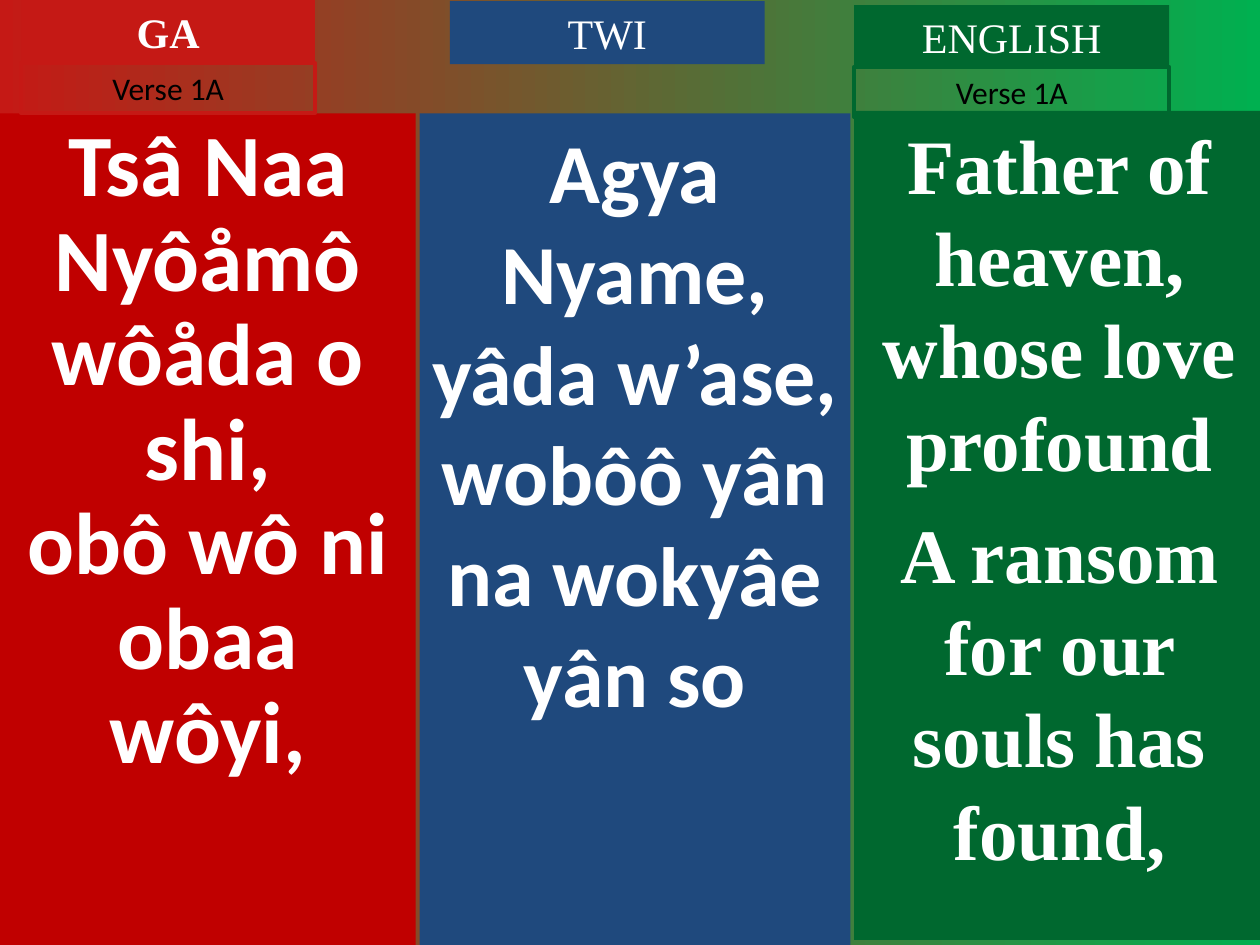
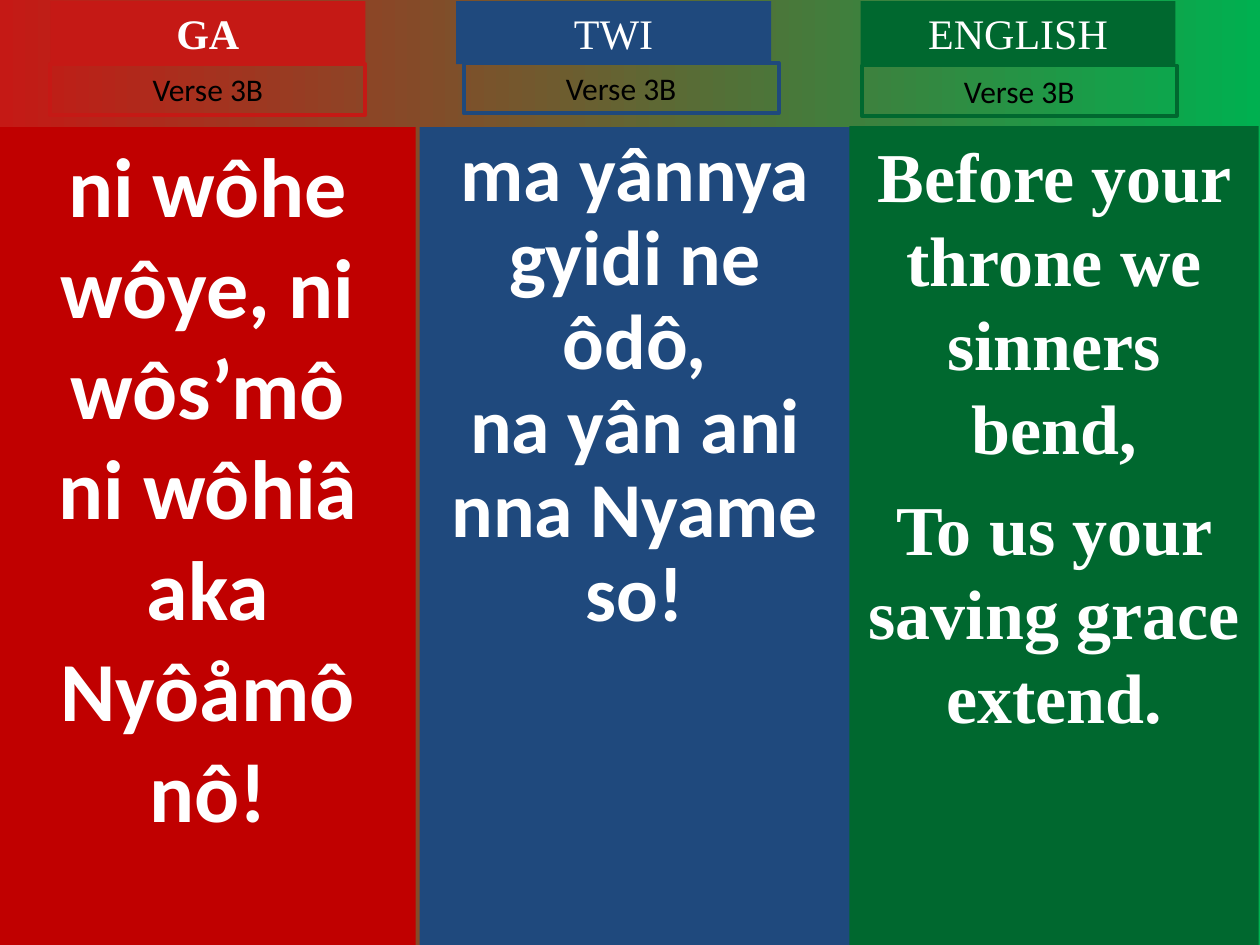
from pptx import Presentation
from pptx.dml.color import RGBColor
from pptx.enum.shapes import MSO_SHAPE
from pptx.enum.text import MSO_ANCHOR, PP_ALIGN
from pptx.util import Inches, Pt

RECTANGLE = MSO_SHAPE.RECTANGLE
TOP = MSO_ANCHOR.TOP
CENTER = PP_ALIGN.CENTER

RED = RGBColor(0xC5, 0x19, 0x15)
DARK_RED = RGBColor(0xC0, 0x00, 0x00)
BLUE = RGBColor(0x1F, 0x49, 0x7D)
GREEN = RGBColor(0x00, 0x68, 0x2F)
LIGHT_GREEN = RGBColor(0x00, 0xB0, 0x50)
WHITE = RGBColor(0xFF, 0xFF, 0xFF)
BLACK = RGBColor(0x00, 0x00, 0x00)

SANS = "Calibri"
SERIF = "Times New Roman"
LINE_HEIGHT = 1.2


def add_page(deck):
    page = deck.slides.add_slide(deck.slide_layouts[6])
    fill = page.background.fill
    fill.gradient()
    fill.gradient_angle = 0
    for stop, color in zip(fill.gradient_stops, (RED, LIGHT_GREEN)):
        stop.color.rgb = color
    return page


def add_box(page, place, fill=None, line=None):
    box = page.shapes.add_shape(RECTANGLE, *map(Inches, place))
    box.shadow.inherit = False
    if fill is None:
        box.fill.background()
    else:
        box.fill.solid()
        box.fill.fore_color.rgb = fill
    if line is None:
        box.line.fill.background()
    else:
        box.line.color.rgb = line
        box.line.width = Pt(2.25)
    return box


def write(box, *lines, size, font, color=WHITE, bold=False, spacing=None, before=0):
    frame = box.text_frame
    frame.word_wrap = True
    frame.vertical_anchor = TOP
    for index, text in enumerate(lines):
        para = frame.add_paragraph() if index else frame.paragraphs[0]
        para.text = text
        para.alignment = CENTER
        if index:
            para.space_before = Pt(before)
        if spacing:
            para.line_spacing = Pt(round(size * LINE_HEIGHT * spacing, 1))
        para.font.size = Pt(size)
        para.font.name = font
        para.font.bold = bold
        para.font.color.rgb = color


def add_lyrics(page, place, fill, lines, size, font=SANS, spacing=1, before=0):
    box = add_box(page, place, fill=fill)
    write(box, *lines, size=size, font=font, bold=True, spacing=spacing, before=before)


def add_language(page, name, left, top, color, width=2.5, bold=False):
    box = add_box(page, (left, top, width, 0.5), fill=color)
    write(box, name, size=24, font=SERIF, bold=bold)


def add_verse(page, label, left, top, color, width=2.5):
    box = add_box(page, (left, top, width, 0.4), line=color)
    write(box, label, size=18, font=SANS, color=BLACK)


def add_first_verse(deck):
    page = add_page(deck)
    add_lyrics(page, (0, 0.9, 3.3, 6.6), DARK_RED,
               ("Tsâ Naa Nyôåmô wôåda o shi,", "obô wô ni obaa wôyi,"),
               size=50, spacing=0.9)
    add_lyrics(page, (3.33, 0.9, 3.42, 6.6), BLUE,
               ("Agya Nyame, yâda w’ase,", "wobôô yân na wokyâe yân so"), size=48)
    add_language(page, "GA", 0.17, 0, RED, width=2.33, bold=True)
    add_language(page, "TWI", 3.57, 0.01, BLUE)
    add_verse(page, "Verse 1A", 0.17, 0.5, RED, width=2.33)
    add_lyrics(page, (6.78, 0.88, 3.26, 6.58), GREEN,
               ("Father of heaven, whose love profound",
                "A ransom for our souls has found,"),
               size=44, font=SERIF, before=11)
    add_language(page, "ENGLISH", 6.78, 0.04, GREEN)
    add_verse(page, "Verse 1A", 6.78, 0.53, GREEN)


def add_third_verse(deck):
    page = add_page(deck)
    add_lyrics(page, (0, 1.01, 3.3, 6.49), DARK_RED,
               ("ni wôhe wôye, ni wôs’mô", "ni wôhiâ aka Nyôåmô nô!"), size=48)
    add_lyrics(page, (3.33, 1.01, 3.42, 6.49), BLUE,
               ("ma yânnya gyidi ne ôdô,", "na yân ani nna Nyame so!"),
               size=44.4, spacing=0.9)
    add_language(page, "GA", 0.4, 0.01, RED, bold=True)
    add_language(page, "TWI", 3.62, 0.01, BLUE)
    add_verse(page, "Verse 3B", 0.4, 0.51, RED)
    add_verse(page, "Verse 3B", 3.68, 0.5, BLUE)
    add_lyrics(page, (6.74, 1, 3.25, 6.51), GREEN,
               ("Before your throne we sinners bend,",
                "To us your saving grace extend."),
               size=40, font=SERIF, before=10)
    add_language(page, "ENGLISH", 6.83, 0.01, GREEN)
    add_verse(page, "Verse 3B", 6.84, 0.52, GREEN)


def main():
    deck = Presentation()
    deck.slide_width = Inches(10)
    deck.slide_height = Inches(7.5)
    add_first_verse(deck)
    add_third_verse(deck)
    deck.save("out.pptx")


if __name__ == "__main__":
    main()
